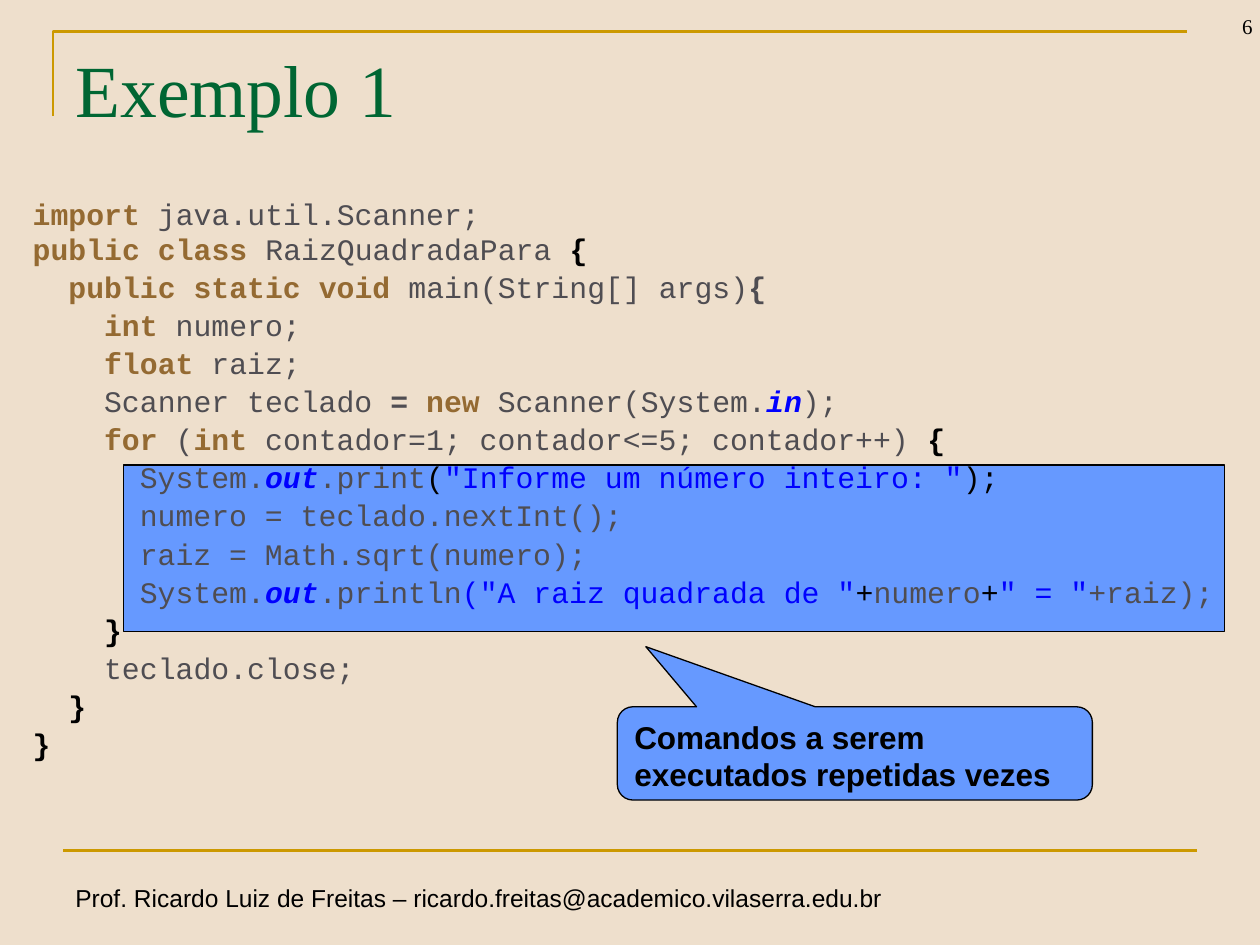
from lxml.etree import SubElement
from pptx import Presentation
from pptx.dml.color import RGBColor
from pptx.enum.shapes import MSO_CONNECTOR, MSO_SHAPE
from pptx.enum.text import MSO_ANCHOR, MSO_AUTO_SIZE, PP_ALIGN
from pptx.oxml.ns import qn
from pptx.util import Inches, Pt


def paint(color_format, value):
    color_format.rgb = RGBColor.from_string(value)


def add_run(paragraph, text, size, font, color, bold=False, italic=False):
    run = paragraph.add_run()
    run.text = text
    run.font.size = Pt(size)
    run.font.name = font
    run.font.bold = bold
    run.font.italic = italic
    paint(run.font.color, color)


GOLD = "CC9900"
BLUE = "6699FF"
BLACK = "000000"
STYLES = {
    "keyword": ("946A32", True, False),
    "plain": ("4F4D52", False, False),
    "strong": ("4F4D52", True, False),
    "brace": (BLACK, True, False),
    "symbol": (BLACK, False, False),
    "string": ("0000FF", False, False),
    "field": ("0000FF", True, True),
}
CODE = [
    (0, [("keyword", "import "), ("plain", "java.util.Scanner;")]),
    (0, [("keyword", "public class "), ("plain", "RaizQuadradaPara "), ("brace", "{")]),
    (1, [("keyword", "public static void "), ("plain", "main(String[] args)"), ("strong", "{")]),
    (2, [("keyword", "int "), ("plain", "numero;")]),
    (2, [("keyword", "float "), ("plain", "raiz;")]),
    (2, [("plain", "Scanner teclado "), ("strong", "= "), ("keyword", "new"),
         ("plain", " Scanner(System."), ("field", "in"), ("plain", ");")]),
    (2, [("keyword", "for "), ("plain", "("), ("keyword", "int "),
         ("plain", "contador=1; contador<=5; contador++) "), ("brace", "{")]),
    (3, [("plain", "System."), ("field", "out"), ("plain", ".print"), ("symbol", "("),
         ("string", "\"Informe um número inteiro: \""), ("symbol", ");")]),
    (3, [("plain", "numero = teclado.nextInt();")]),
    (3, [("plain", "raiz = Math.sqrt(numero);")]),
    (3, [("plain", "System."), ("field", "out"), ("plain", ".println"),
         ("string", "(\"A raiz quadrada de \""), ("symbol", "+"), ("plain", "numero"),
         ("symbol", "+"), ("string", "\" = \""), ("plain", "+raiz);")]),
    (2, [("brace", "}")]),
    (2, [("plain", "teclado.close;")]),
    (1, [("brace", "}")]),
    (0, [("brace", "}")]),
]

prs = Presentation()
prs.slide_width = Inches(10)
prs.slide_height = Inches(7.5)
slide = prs.slides.add_slide(prs.slide_layouts[1])
shapes = slide.shapes
slide.background.fill.solid()
paint(slide.background.fill.fore_color, "EEDFCC")

corner_builder = shapes.build_freeform(Inches(0.42), Inches(0.92))
corner_builder.add_line_segments(
    [(Inches(0.42), Inches(0.25)), (Inches(9.42), Inches(0.25))], close=False)
corner_rule = corner_builder.convert_to_shape()
corner_rule.shadow.inherit = False
corner_rule.fill.background()

footer_rule = shapes.add_connector(
    MSO_CONNECTOR.STRAIGHT, Inches(0.5), Inches(6.75), Inches(9.5), Inches(6.75))
SubElement(footer_rule._element.spPr, qn("a:effectLst"))
for rule in (corner_rule, footer_rule):
    paint(rule.line.color, GOLD)
    rule.line.width = Pt(1.5)

loop_body = shapes.add_shape(
    MSO_SHAPE.RECTANGLE, Inches(0.98), Inches(3.69), Inches(8.74), Inches(1.32))
explanation = shapes.add_shape(
    MSO_SHAPE.ROUNDED_RECTANGULAR_CALLOUT, Inches(4.9), Inches(5.61), Inches(3.77), Inches(0.74))
for index, value in enumerate((-0.44, -1.145, 0.167)):
    explanation.adjustments[index] = value
for panel in (loop_body, explanation):
    panel.shadow.inherit = False
    panel.fill.solid()
    paint(panel.fill.fore_color, BLUE)
    paint(panel.line.color, BLACK)
    panel.line.width = Pt(0.75)
explanation.text_frame.word_wrap = True
explanation.text_frame.vertical_anchor = MSO_ANCHOR.TOP
explanation_line = explanation.text_frame.paragraphs[0]
explanation_line.alignment = PP_ALIGN.LEFT
add_run(explanation_line, "Comandos a serem executados repetidas vezes", 18, "Arial", BLACK, bold=True)

author = shapes.add_textbox(Inches(0.5), Inches(6.96), Inches(6.86), Inches(0.34))
author.text_frame.word_wrap = False
add_run(author.text_frame.paragraphs[0],
        "Prof. Ricardo Luiz de Freitas – ricardo.freitas@academico.vilaserra.edu.br",
        14, "Arial", BLACK)

page_number = shapes.add_textbox(Inches(9.29), Inches(-0.14), Inches(0.75), Inches(0.5))
page_number.text_frame.word_wrap = True
page_number.text_frame.vertical_anchor = MSO_ANCHOR.BOTTOM
page_number.text_frame.paragraphs[0].alignment = PP_ALIGN.RIGHT
add_run(page_number.text_frame.paragraphs[0], "6", 12, "Times New Roman", BLACK)

heading = shapes.title
heading.left, heading.top = Inches(0.5), Inches(0.3)
heading.width, heading.height = Inches(9), Inches(1.25)
heading.text_frame.auto_size = MSO_AUTO_SIZE.NONE
heading.text_frame.vertical_anchor = MSO_ANCHOR.TOP
heading.text_frame.margin_top = Inches(0.05)
heading.text_frame.paragraphs[0].alignment = PP_ALIGN.LEFT
add_run(heading.text_frame.paragraphs[0], "Exemplo 1", 42, "Times New Roman", "006633")

listing = slide.placeholders[1]
listing.left, listing.top = Inches(0.16), Inches(1.5)
listing.width, listing.height = Inches(9.71), Inches(4.77)
shapes.element.append(listing._element)
listing.text_frame.auto_size = MSO_AUTO_SIZE.NONE
listing.text_frame.vertical_anchor = MSO_ANCHOR.TOP
for number, (depth, spans) in enumerate(CODE):
    line = listing.text_frame.add_paragraph() if number else listing.text_frame.paragraphs[0]
    line.alignment = PP_ALIGN.LEFT
    line.line_spacing = 1.0 if number < 2 else 0.9
    line.space_before = Pt(0 if number < 2 else 3.4)
    properties = line._p.get_or_add_pPr()
    properties.set("marL", str(Pt(20.4 * depth)))
    properties.set("indent", "0")
    SubElement(properties, qn("a:buNone"))
    for style, text in spans:
        add_run(line, text, 17, "Courier New", *STYLES[style])

prs.save("out.pptx")
